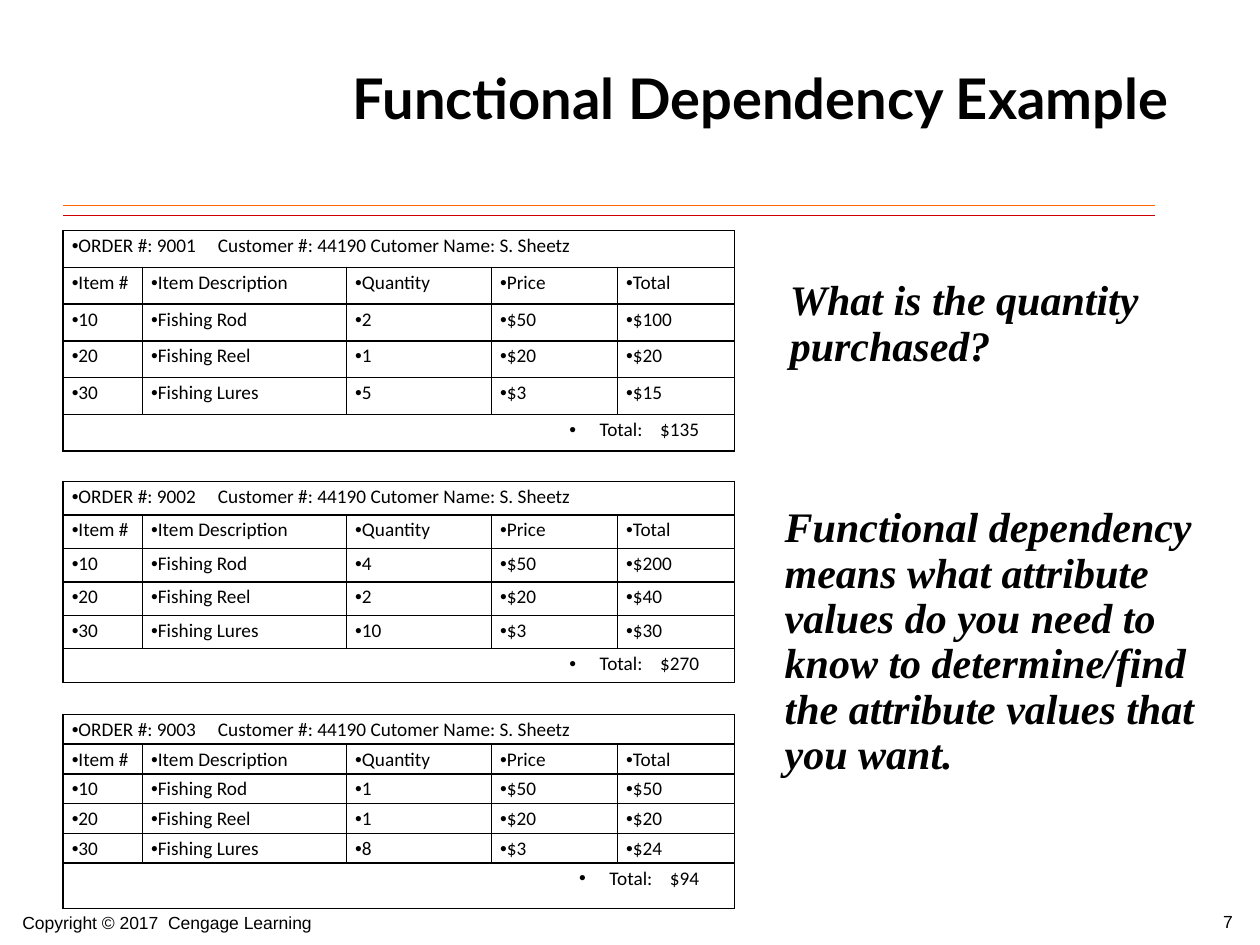
from dataclasses import dataclass

from lxml.etree import SubElement
from pptx import Presentation
from pptx.dml.color import RGBColor
from pptx.enum.shapes import MSO_CONNECTOR
from pptx.enum.text import MSO_ANCHOR, PP_ALIGN
from pptx.oxml.ns import qn
from pptx.util import Inches, Pt


@dataclass(frozen=True)
class Theme:
    ink: str = "000000"
    orange: str = "FF6600"
    red: str = "CC0000"
    head: tuple = ("Lato", 32)
    cell: tuple = ("Calibri", 11)
    note: tuple = ("Times New Roman", 24)
    foot: tuple = ("Arial", 10)


@dataclass(frozen=True)
class Order:
    num: int
    top: float
    height: float
    last: float
    counts: tuple
    sums: tuple


@dataclass(frozen=True)
class Note:
    text: str
    left: float
    top: float
    width: float
    height: float


THEME = Theme()
LEFT = 0.5
COLS = (0.63, 1.62, 1.15, 1, 0.93)
HEADS = ("Item #", "Item Description", "Quantity", "Price", "Total")
ITEMS = ((10, "Fishing Rod", 50), (20, "Fishing Reel", 20), (30, "Fishing Lures", 3))
ORDERS = (
    Order(9001, 1.83, 1.75, 0.29, (2, 1, 5), (100, 20, 15)),
    Order(9002, 3.82, 1.6, 0.27, (4, 2, 10), (200, 40, 30)),
    Order(9003, 5.67, 1.54, 0.36, (1, 1, 8), (50, 20, 24)),
)
NOTES = (
    Note("What is the quantity purchased?", 6.17, 2.17, 3.43, 0.83),
    Note("Functional dependency means what attribute values do you need to know "
         "to determine/find the attribute values that you want.",
         6.13, 3.97, 3.67, 2.28),
)
FEET = (
    Note("Copyright © 2017  Cengage Learning", 0.08, 7.19, 3.17, 0.25),
    Note("7", 9.61, 7.18, 0.39, 0.25),
)


def style(para, face: tuple, bold: bool = False, italic: bool = False) -> None:
    font = para.font
    font.name, font.size = face[0], Pt(face[1])
    font.bold, font.italic = bold, italic
    font.color.rgb = RGBColor.from_string(THEME.ink)


def bullet(para, hang: float = 0, tab: float = 0) -> None:
    """Add a bullet with a hanging indent and, if given, a left tab stop."""
    props = para._p.get_or_add_pPr()
    props.set("marL", str(Inches(hang)))
    props.set("indent", str(-Inches(hang)))
    SubElement(props, qn("a:buFont"), typeface="Arial")
    SubElement(props, qn("a:buChar"), char="•")
    if tab:
        tabs = SubElement(props, qn("a:tabLst"))
        SubElement(tabs, qn("a:tab"), pos=str(Inches(tab)), algn="l")


def border(cell) -> None:
    props = cell._tc.get_or_add_tcPr()
    for side in ("lnL", "lnR", "lnT", "lnB"):
        line = SubElement(props, qn(f"a:{side}"), w=str(Pt(1)))
        fill = SubElement(line, qn("a:solidFill"))
        SubElement(fill, qn("a:srgbClr"), val=THEME.ink)


def write_sum(cell, total: int) -> None:
    """Write the order total, right-aligned, with a widened space before the sum."""
    cell.margin_right = Inches(0.28)
    para = cell.text_frame.paragraphs[0]
    para.alignment = PP_ALIGN.RIGHT
    para.add_run().text = "Total:"
    gap = para.add_run()
    gap.text = " "
    gap._r.get_or_add_rPr().set("spc", "750")
    para.add_run().text = f"${total}"


def draw_order(slide, order: Order) -> None:
    lines = [(f"ORDER #: {order.num}\tCustomer #: 44190 Cutomer Name: S. Sheetz",), HEADS]
    for (item, name, price), count, cost in zip(ITEMS, order.counts, order.sums):
        lines.append((str(item), name, str(count), f"${price}", f"${cost}"))
    end = len(lines)
    table = slide.shapes.add_table(
        end + 1, len(COLS), Inches(LEFT), Inches(order.top),
        Inches(sum(COLS)), Inches(order.height)).table
    table.first_row = table.horz_banding = False
    for col, width in zip(table.columns, COLS):
        col.width = Inches(width)
    for row in table.rows:
        row.height = Inches((order.height - order.last) / end)
    table.rows[end].height = Inches(order.last)
    for cell in table.iter_cells():
        border(cell)
        cell.fill.background()
        cell.margin_left = cell.margin_right = Inches(0.07)
        cell.margin_top = cell.margin_bottom = 0
    for row in (0, end):
        table.cell(row, 0).merge(table.cell(row, len(COLS) - 1))
    for row, texts in enumerate(lines):
        for col, text in enumerate(texts):
            table.cell(row, col).text = text
    write_sum(table.cell(end, 0), sum(order.sums))
    for row in range(end + 1):
        for col in range(len(COLS)):
            cell = table.cell(row, col)
            if cell.is_spanned:
                continue
            para = cell.text_frame.paragraphs[0]
            para.line_spacing = 1.15
            bullet(para, 0.24 if row == end else 0, 0 if row else 1.16)
            style(para, THEME.cell)


def draw_rule(slide, top: float, color: str) -> None:
    line = slide.shapes.add_connector(
        MSO_CONNECTOR.STRAIGHT, Inches(LEFT), Inches(top), Inches(9.17), Inches(top))
    line.line.color.rgb = RGBColor.from_string(color)
    line.line.width = Pt(0.75)
    SubElement(line._element.spPr, qn("a:effectLst"))


def draw_note(slide, note: Note, face: tuple, strong: bool = False) -> None:
    box = slide.shapes.add_textbox(
        Inches(note.left), Inches(note.top), Inches(note.width), Inches(note.height))
    frame = box.text_frame
    frame.word_wrap = True
    frame.text = note.text
    para = frame.paragraphs[0]
    if strong:
        para.line_spacing = 0.9
    style(para, face, strong, strong)


def draw_title(slide) -> None:
    title = slide.shapes.title
    title.left, title.top = Inches(2.33), Inches(0.31)
    title.width, title.height = Inches(7.42), Inches(0.92)
    frame = title.text_frame
    frame.text = "Functional Dependency Example"
    frame.vertical_anchor = MSO_ANCHOR.MIDDLE
    para = frame.paragraphs[0]
    para.alignment = PP_ALIGN.CENTER
    style(para, THEME.head, bold=True)


def main() -> None:
    deck = Presentation()
    deck.slide_width, deck.slide_height = Inches(10), Inches(7.5)
    slide = deck.slides.add_slide(deck.slide_layouts[5])
    draw_rule(slide, 1.71, THEME.red)
    draw_rule(slide, 1.63, THEME.orange)
    draw_title(slide)
    for order in ORDERS:
        draw_order(slide, order)
    for note in NOTES:
        draw_note(slide, note, THEME.note, strong=True)
    for foot in FEET:
        draw_note(slide, foot, THEME.foot)
    deck.save("out.pptx")


if __name__ == "__main__":
    main()
